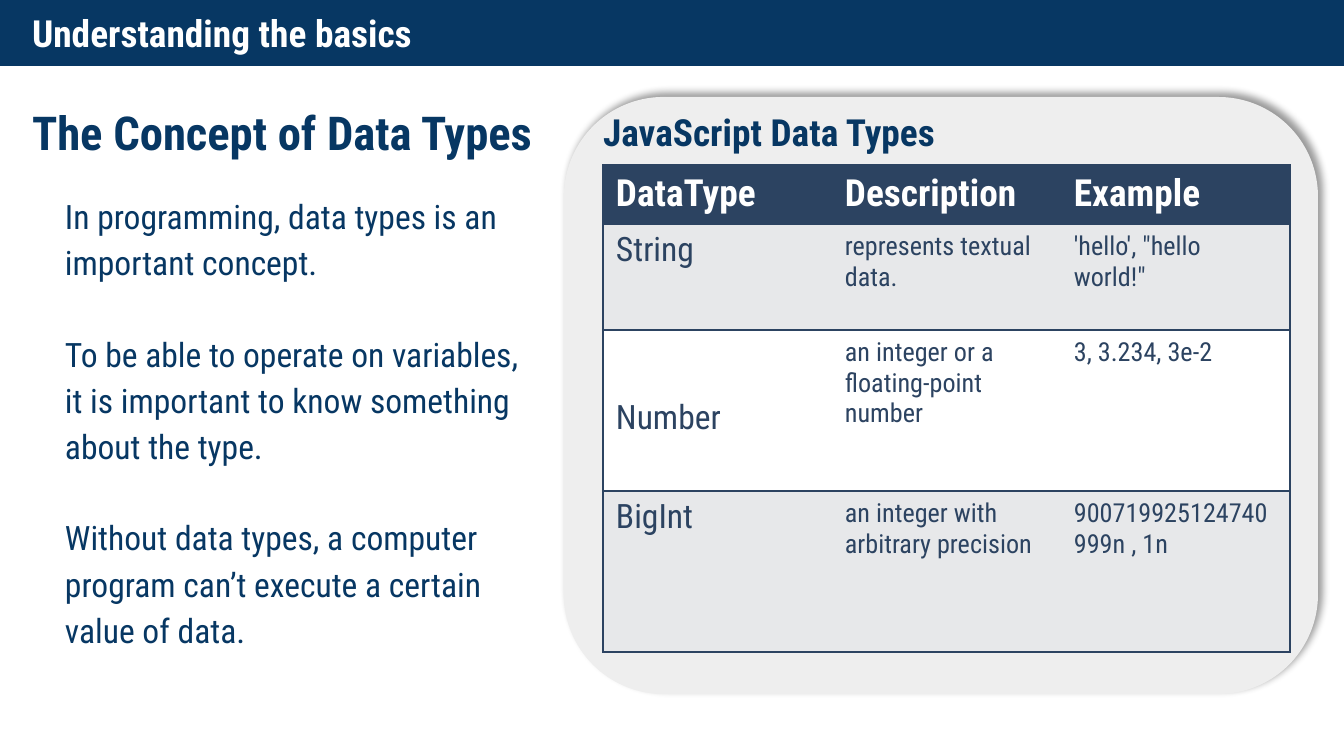
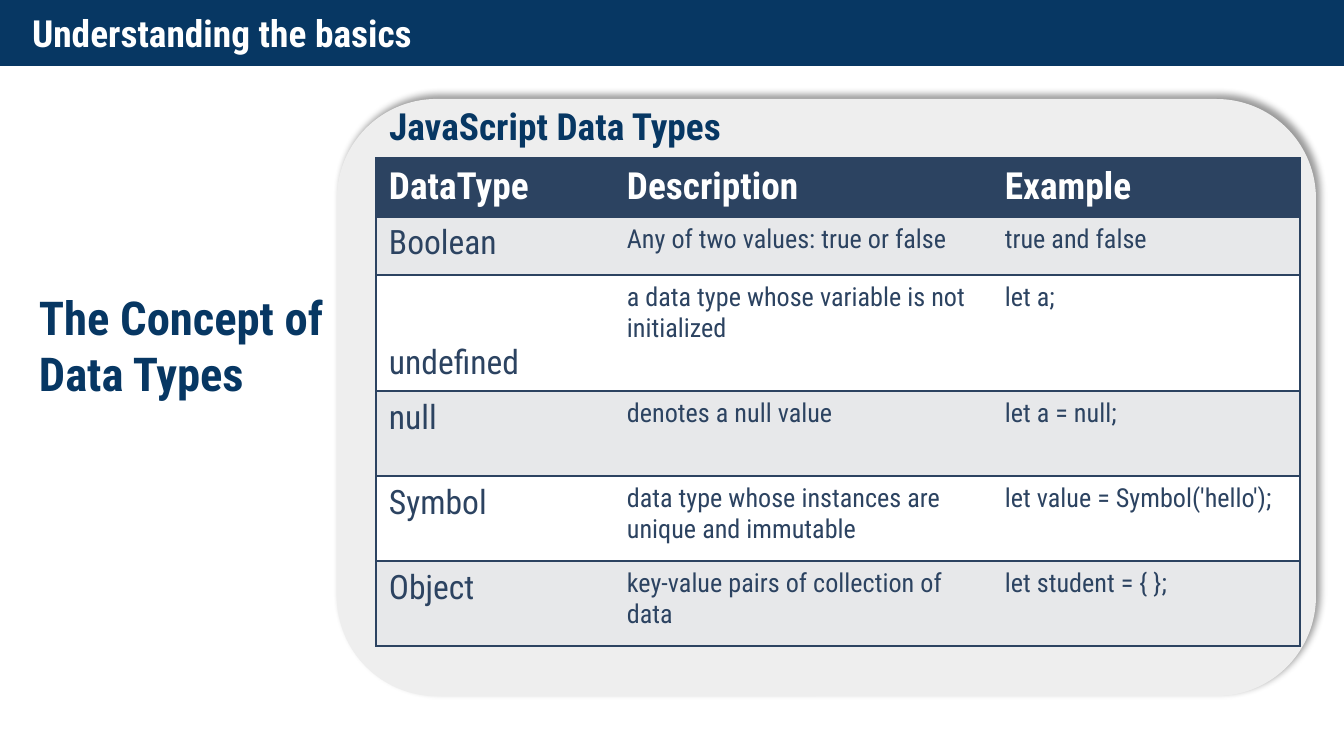
from lxml import etree
from pptx import Presentation
from pptx.dml.color import RGBColor
from pptx.enum.shapes import MSO_SHAPE as Preset
from pptx.enum.text import MSO_ANCHOR as Anchor, PP_ALIGN as Align
from pptx.oxml import parse_xml
from pptx.oxml.ns import nsdecls, qn
from pptx.util import Emu, Pt

EMU_PER_PX = 914400 / 134.4
FONT = "Roboto Condensed"
NAVY, SLATE, WHITE = "073763", "2C4361", "FFFFFF"
PANEL_GRAY, ROW_GRAY = "EEEEEE", "E7E8EA"
TOPIC = "Understanding the basics"
CONCEPT = "The Concept of Data Types"
TABLE_TITLE = "JavaScript Data Types"
HEADER = ("DataType", "Description", "Example")
LOW_LABELS = ("Number", "undefined")
BAND_HEIGHT = 66

INTRODUCTION = [
    "In programming, data types is an important concept.",
    "To be able to operate on variables, it is important to know something about the type.",
    "Without data types, a computer program can’t execute a certain value of data.",
]
FIRST_TYPES = [
    ("String", "represents textual data.", "'hello', \"hello world!\""),
    ("Number", "an integer or a floating-point number", "3, 3.234, 3e-2"),
    ("BigInt", "an integer with arbitrary precision", "900719925124740999n , 1n"),
]
OTHER_TYPES = [
    ("Boolean", "Any of two values: true or false", "true and false"),
    ("undefined", "a data type whose variable is not initialized", "let a;"),
    ("null", "denotes a null value", "let a = null;"),
    ("Symbol", "data type whose instances are unique and immutable",
     "let value = Symbol('hello');"),
    ("Object", "key-value pairs of collection of data", "let student = { };"),
]


def px(length):
    """Turn pixels into EMU."""
    return Emu(round(length * EMU_PER_PX))


def color(value):
    """Turn a hex string into a colour."""
    return RGBColor.from_string(value)


def assign(target, **values):
    """Set each given attribute on the target."""
    for name, value in values.items():
        setattr(target, name, value)


def write(frame, texts, size, ink, bold=False, **paragraph_format):
    """Fill a text frame with equally formatted paragraphs."""
    for index, text in enumerate(texts):
        paragraph = frame.add_paragraph() if index else frame.paragraphs[0]
        paragraph.text = text
        assign(paragraph, alignment=Align.LEFT, **paragraph_format)
        if index == 0:
            paragraph.space_before = Pt(0)
        font = paragraph.runs[0].font
        assign(font, name=FONT, size=Pt(size), bold=bold)
        font.color.rgb = color(ink)


def set_frame(frame, anchor):
    """Give a text frame its wrapping, anchor and margins."""
    assign(frame, word_wrap=True, vertical_anchor=anchor, margin_left=px(13),
           margin_right=px(13), margin_top=px(13), margin_bottom=px(13))


def add_text(slide, box, texts, size, anchor=Anchor.MIDDLE, **text_format):
    """Add a navy text box."""
    frame = slide.shapes.add_textbox(*map(px, box)).text_frame
    set_frame(frame, anchor)
    write(frame, texts, size, NAVY, **text_format)


def add_block(slide, preset, box, fill):
    """Add a filled shape without outline or shadow."""
    shape = slide.shapes.add_shape(preset, *map(px, box))
    shape.shadow.inherit = False
    shape.fill.solid()
    shape.fill.fore_color.rgb = color(fill)
    shape.line.fill.background()
    return shape


def add_panel(slide, box):
    """Add the rounded panel with a shadow to its upper right."""
    panel = add_block(slide, Preset.ROUNDED_RECTANGLE, box, PANEL_GRAY)
    effects = panel._element.spPr.find(qn("a:effectLst"))
    effects.append(parse_xml(
        f'<a:outerShdw {nsdecls("a")} blurRad="{Pt(4)}" dist="{Pt(3)}" dir="18900000" '
        'algn="bl" rotWithShape="0"><a:srgbClr val="000000"><a:alpha val="40000"/>'
        "</a:srgbClr></a:outerShdw>"))


def add_border(cell, side, visible):
    """Draw or clear one side of a cell."""
    line = etree.SubElement(cell._tc.get_or_add_tcPr(), qn(f"a:ln{side}"), w=str(Pt(1)))
    if visible:
        fill = etree.SubElement(line, qn("a:solidFill"))
        etree.SubElement(fill, qn("a:srgbClr"), val=SLATE)
    else:
        etree.SubElement(line, qn("a:noFill"))


def format_cell(cell, text, row, column):
    """Write and style a cell according to its place in the table."""
    top = 69 if text in LOW_LABELS else 7
    assign(cell, margin_left=px(13), margin_right=px(13),
           margin_top=px(top), margin_bottom=px(7))
    edges = {"L": column == 0, "R": column == len(HEADER) - 1, "T": True, "B": True}
    for side, visible in edges.items():
        add_border(cell, side, visible)
    cell.fill.solid()
    if row == 0:
        fill, ink, size = SLATE, WHITE, 20
    else:
        fill, ink, size = (ROW_GRAY if row % 2 else WHITE), SLATE, (14 if column else 18)
    cell.fill.fore_color.rgb = color(fill)
    write(cell.text_frame, [text], size, ink, bold=row == 0)


def add_type_table(slide, left, top, widths, heights, types):
    """Add the table of data types under its header row."""
    rows = [HEADER, *types]
    box = (left, top, sum(widths), sum(heights))
    table = slide.shapes.add_table(len(rows), len(HEADER), *map(px, box)).table
    assign(table, first_row=False, horz_banding=False)
    for column, width in zip(table.columns, widths):
        column.width = px(width)
    for row, height in zip(table.rows, heights):
        row.height = px(height)
    for row, texts in enumerate(rows):
        for column, text in enumerate(texts):
            format_cell(table.cell(row, column), text, row, column)


def add_topic_slide(presentation):
    """Add a slide with the navy title band."""
    slide = presentation.slides.add_slide(presentation.slide_layouts[5])
    band = add_block(slide, Preset.RECTANGLE, (0, 0, 1344, BAND_HEIGHT), NAVY)
    title = slide.shapes.title
    title._element.addprevious(band._element)
    assign(title, left=px(19), top=px(0), width=px(1282), height=px(BAND_HEIGHT))
    set_frame(title.text_frame, Anchor.MIDDLE)
    write(title.text_frame, [TOPIC], 20, WHITE, bold=True)
    return slide


def build_first_types(presentation):
    """Build the introduction with the first data types."""
    slide = add_topic_slide(presentation)
    add_text(slide, (52, 177, 492, 307), INTRODUCTION, 18, Anchor.TOP,
             line_spacing=1.15, space_before=Pt(24))
    add_panel(slide, (564, 97, 754, 597))
    add_text(slide, (19, 99, 622, 66), [CONCEPT], 25, bold=True)
    add_type_table(slide, 603, 165, (229, 229, 229), (58, 106, 161, 161), FIRST_TYPES)
    add_text(slide, (590, 112, 562, 39), [TABLE_TITLE], 20, bold=True)


def build_other_types(presentation):
    """Build the slide of the remaining data types."""
    slide = add_topic_slide(presentation)
    add_panel(slide, (337, 99, 979, 597))
    add_text(slide, (26, 312, 380, 66), [CONCEPT], 25, bold=True)
    add_text(slide, (376, 106, 731, 39), [TABLE_TITLE], 20, bold=True)
    add_type_table(slide, 376, 158, (238, 378, 308), (58, 58, 115, 85, 85, 85), OTHER_TYPES)


def main():
    """Build and save the presentation."""
    presentation = Presentation()
    assign(presentation, slide_width=px(1344), slide_height=px(756))
    build_first_types(presentation)
    build_other_types(presentation)
    presentation.save("out.pptx")


if __name__ == "__main__":
    main()
